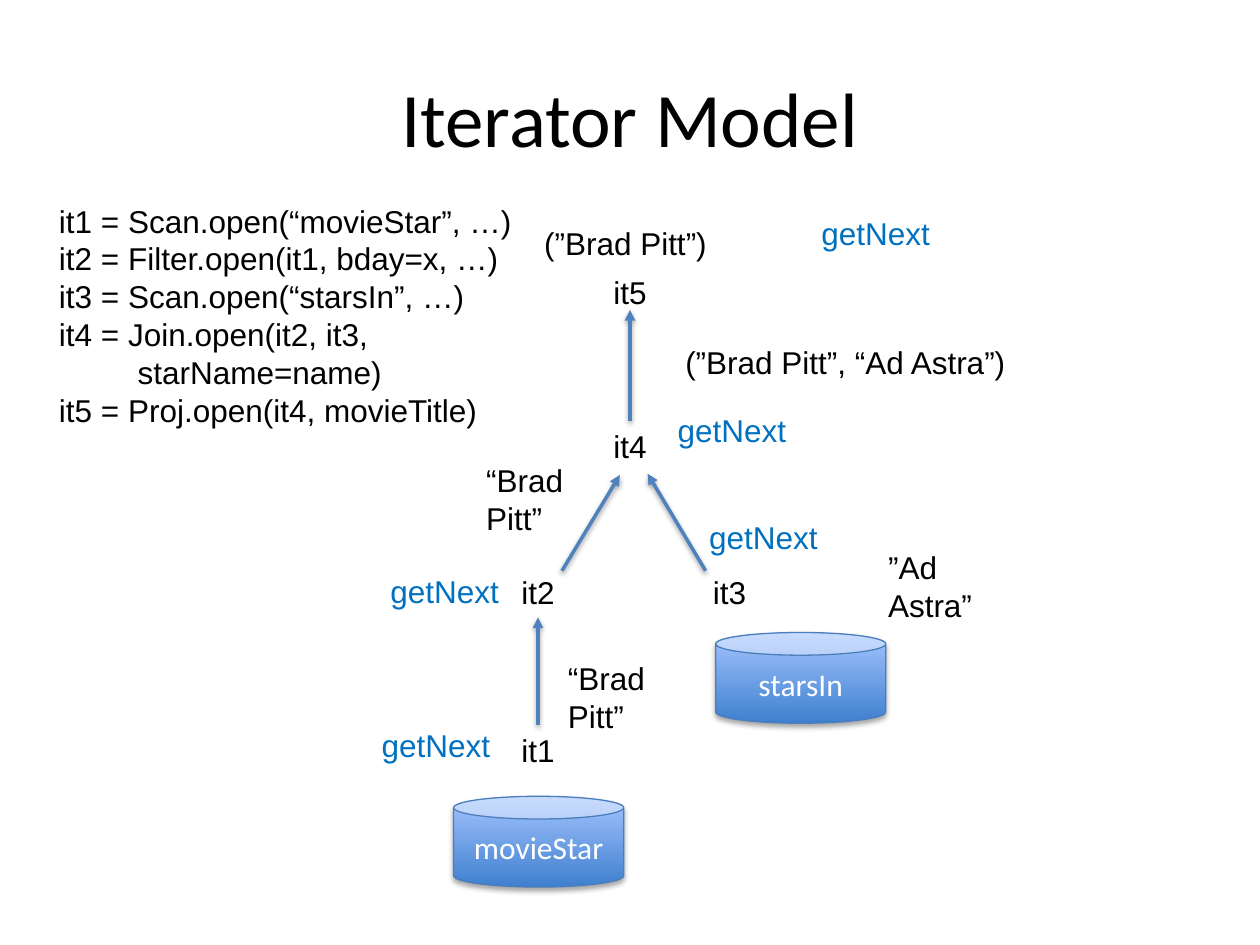
from lxml import etree
from pptx import Presentation
from pptx.dml.color import RGBColor
from pptx.enum import shapes, text
from pptx.oxml import parse_xml
from pptx.oxml.ns import nsdecls, qn
from pptx.util import Inches, Pt

BLACK = RGBColor(0x00, 0x00, 0x00)
WHITE = RGBColor(0xFF, 0xFF, 0xFF)
CALL_BLUE = RGBColor(0x00, 0x70, 0xC0)
ARROW_BLUE = RGBColor(0x4F, 0x81, 0xBD)
CAN_EDGE = RGBColor(0x4B, 0x7E, 0xBC)
CAN_DARK = RGBColor(0x3F, 0x80, 0xCE)
CAN_LIGHT = RGBColor(0xA4, 0xC4, 0xFF)


def add_label(lines, left, top, width, height, color=BLACK, wrap=True):
    label = slide.shapes.add_textbox(Inches(left), Inches(top), Inches(width), Inches(height))
    frame = label.text_frame
    frame.word_wrap = wrap
    frame.auto_size = text.MSO_AUTO_SIZE.SHAPE_TO_FIT_TEXT
    frame.text = lines
    for paragraph in frame.paragraphs:
        font = paragraph.runs[0].font
        font.name, font.size, font.color.rgb = "Arial", Pt(18), color


def drop_shadow(shape, distance, opacity):
    """Add a soft black shadow straight below; distance in points, opacity in percent."""
    shape._element.spPr.append(parse_xml(
        f'<a:effectLst {nsdecls("a")}>'
        f'<a:outerShdw blurRad="{Pt(3.1)}" dist="{Pt(distance)}" dir="5400000" rotWithShape="0">'
        f'<a:srgbClr val="000000"><a:alpha val="{opacity * 1000}"/></a:srgbClr>'
        '</a:outerShdw></a:effectLst>'))


prs = Presentation()
prs.slide_width, prs.slide_height = Inches(10), Inches(7.5)
slide = prs.slides.add_slide(prs.slide_layouts[5])

title = slide.shapes.title
title.left, title.top, title.width, title.height = map(Inches, (0.5, 0.3, 9, 1.25))
title.text_frame.text = "Iterator Model"
title.text_frame.vertical_anchor = text.MSO_ANCHOR.MIDDLE
title_line = title.text_frame.paragraphs[0]
title_line.alignment = text.PP_ALIGN.CENTER
title_font = title_line.runs[0].font
title_font.name, title_font.size, title_font.color.rgb = "Calibri", Pt(44), BLACK

plan = [
    "it1 = Scan.open(“movieStar”, …)",
    "it2 = Filter.open(it1, bday=x, …)",
    "it3 = Scan.open(“starsIn”, …)",
    "it4 = Join.open(it2, it3,",
    "         starName=name)",
    "it5 = Proj.open(it4, movieTitle)",
]
add_label("\n".join(plan), 0.37, 1.55, 3.83, 2.22, wrap=False)

iterators = [("it5", 4.77, 2.12), ("it4", 4.77, 3.34), ("it3", 5.56, 4.5),
             ("it2", 4.04, 4.5), ("it1", 4.04, 5.75)]
for name, left, top in iterators:
    add_label(name, left, top, 1.15, 0.4)

# Data flows upwards, from each iterator to its consumer
flows = [(4.27, 5.75, 4.27, 4.9), (4.46, 4.53, 4.92, 3.77),
         (5, 3.34, 5, 2.46), (5.6, 4.53, 5.14, 3.76)]
for ends in flows:
    arrow = slide.shapes.add_connector(shapes.MSO_CONNECTOR.STRAIGHT, *map(Inches, ends))
    arrow.line.color.rgb = ARROW_BLUE
    arrow.line.width = Pt(2)
    etree.SubElement(arrow.line._get_or_add_ln(), qn("a:tailEnd"), type="triangle")
    drop_shadow(arrow, 1.6, 38)

for left, top in [(6.42, 1.65), (5.28, 3.21), (3, 4.49), (2.93, 5.71), (5.53, 4.06)]:
    add_label("getNext", left, top, 1.3, 0.4, CALL_BLUE)

for table, left, top in [("movieStar", 3.6, 6.32), ("starsIn", 5.68, 5.02)]:
    can = slide.shapes.add_shape(shapes.MSO_SHAPE.CAN, Inches(left), Inches(top),
                                 Inches(1.35), Inches(0.72))
    can.fill.gradient()
    can.fill.gradient_angle = 90
    for stop, color in zip(can.fill.gradient_stops, (CAN_DARK, CAN_LIGHT)):
        stop.color.rgb = color
    can.line.color.rgb = CAN_EDGE
    can.line.width = Pt(0.75)
    drop_shadow(can, 1.8, 35)
    can.text_frame.text = table
    can.text_frame.vertical_anchor = text.MSO_ANCHOR.MIDDLE
    table_line = can.text_frame.paragraphs[0]
    table_line.alignment = text.PP_ALIGN.CENTER
    table_font = table_line.runs[0].font
    table_font.name, table_font.size, table_font.color.rgb = "Calibri", Pt(18), WHITE

results = [
    ("“Brad Pitt”", 4.41, 5.18, 1.3, 0.71),
    ("“Brad Pitt”", 3.76, 3.61, 1.3, 0.71),
    ("”Ad Astra”", 6.95, 4.3, 1.3, 0.71),
    ("(”Brad Pitt”, “Ad Astra”)", 5.34, 2.67, 2.92, 0.4),
    ("(”Brad Pitt”)", 4.22, 1.73, 2.92, 0.4),
]
for result in results:
    add_label(*result)

prs.save("out.pptx")
